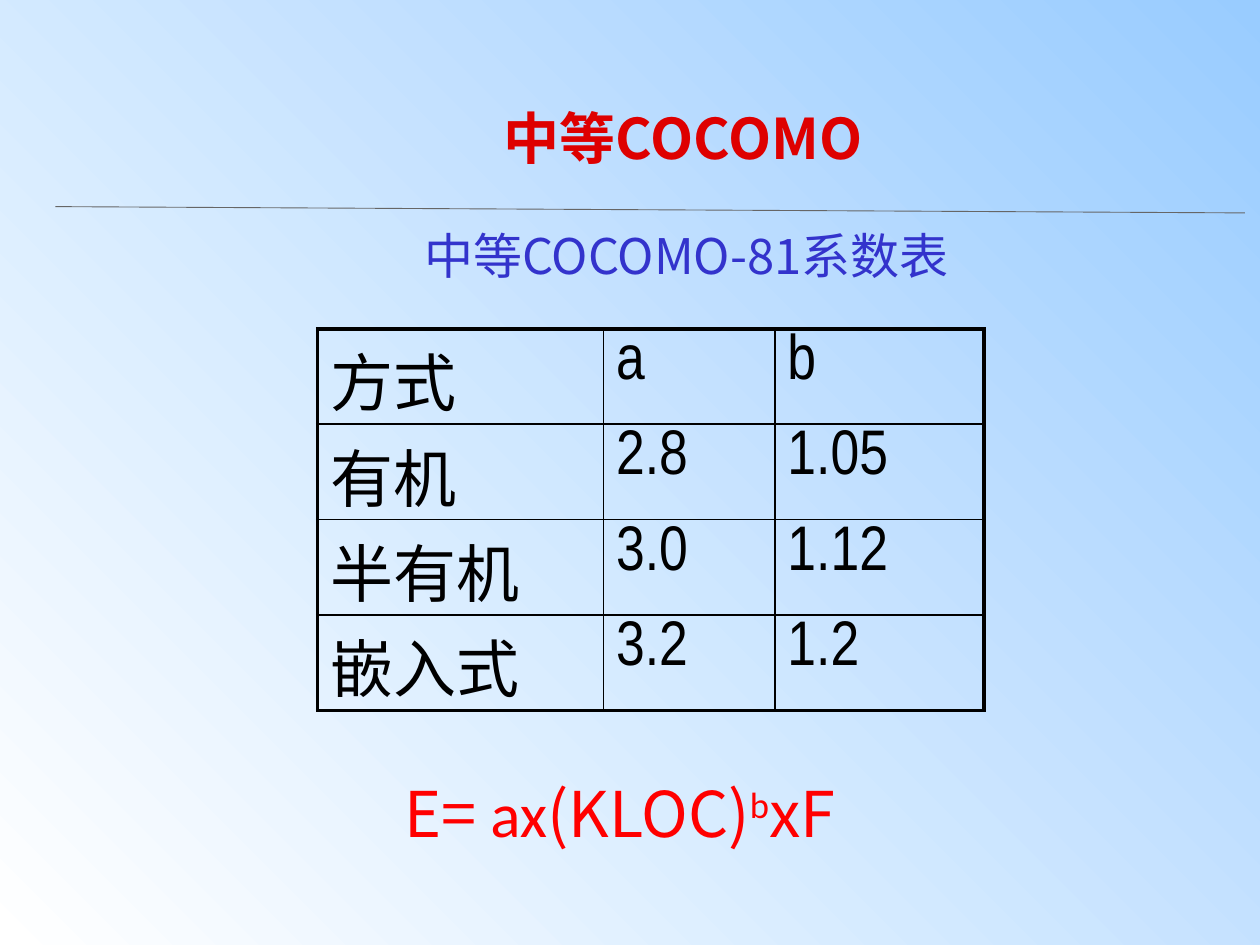
import dataclasses

import pptx
import pptx.dml.color
import pptx.enum.shapes
import pptx.enum.text
import pptx.oxml.ns
import pptx.util
from lxml import etree


@dataclasses.dataclass(frozen=True)
class Theme:
    sky: str = "99CCFF"
    white: str = "FFFFFF"
    rule: str = "666666"
    title: str = "DE0000"
    caption: str = "3333CC"
    formula: str = "FF0000"
    ink: str = "000000"
    sans: str = "Noto Sans CJK SC"
    narrow: str = "Arial Narrow"
    symbol: str = "Calibri"
    large: int = 36
    medium: int = 32
    small: int = 28
    outer_border: float = 2.25
    inner_border: float = 1
    hairline: float = 0.5


def color(value):
    return pptx.dml.color.RGBColor.from_string(value)


def add_element(parent, tag, **attributes):
    return etree.SubElement(parent, pptx.oxml.ns.qn(tag), **attributes)


class SlideBuilder:
    columns = 100
    rows = 75

    def __init__(self, presentation, theme):
        self.theme = theme
        self.cell_width = presentation.slide_width / self.columns
        self.cell_height = presentation.slide_height / self.rows
        self.slide = presentation.slides.add_slide(presentation.slide_layouts[6])

    def across(self, columns):
        return pptx.util.Emu(round(columns * self.cell_width))

    def down(self, rows):
        return pptx.util.Emu(round(rows * self.cell_height))

    def background(self, colors, angle):
        fill = self.slide.background.fill
        fill.gradient()
        fill.gradient_angle = angle
        for stop, value in zip(fill.gradient_stops, colors):
            stop.color.rgb = color(value)

    def style_run(self, run, font_name, size, value, bold=False):
        run.font.name = font_name
        run.font.size = pptx.util.Pt(size)
        run.font.bold = bold
        run.font.color.rgb = color(value)
        latin = run.font._element.find(pptx.oxml.ns.qn("a:latin"))
        east_asian = etree.Element(pptx.oxml.ns.qn("a:ea"), typeface=self.theme.sans)
        latin.addnext(east_asian)

    def line(self, start, end):
        connector = self.slide.shapes.add_connector(
            pptx.enum.shapes.MSO_CONNECTOR.STRAIGHT,
            self.across(start[0]), self.down(start[1]),
            self.across(end[0]), self.down(end[1]))
        connector.line.color.rgb = color(self.theme.rule)
        connector.line.width = pptx.util.Pt(self.theme.hairline)
        add_element(connector._element.spPr, "a:effectLst")

    def text(self, left, top, width, height, pieces, size, value, bold=False):
        box = self.slide.shapes.add_textbox(
            self.across(left), self.down(top), self.across(width), self.down(height))
        frame = box.text_frame
        frame.word_wrap = True
        frame.auto_size = pptx.enum.text.MSO_AUTO_SIZE.SHAPE_TO_FIT_TEXT
        frame.vertical_anchor = pptx.enum.text.MSO_ANCHOR.MIDDLE
        paragraph = frame.paragraphs[0]
        for wording, font_name in pieces:
            run = paragraph.add_run()
            run.text = wording
            self.style_run(run, font_name, size, value, bold)
        return paragraph

    def border(self, cell, side, width):
        line = add_element(cell._tc.get_or_add_tcPr(), f"a:ln{side}",
                           w=str(pptx.util.Pt(width)))
        fill = add_element(line, "a:solidFill")
        add_element(fill, "a:srgbClr", val=self.theme.ink)

    def table(self, left, top, widths, row_height, records):
        shape = self.slide.shapes.add_table(
            len(records), len(widths), self.across(left), self.down(top),
            self.across(sum(widths)), self.down(row_height * len(records)))
        table = shape.table
        table.first_row = False
        table.horz_banding = False
        for column, width in zip(table.columns, widths):
            column.width = self.across(width)
        last_row, last_column = len(records) - 1, len(widths) - 1
        for row, record in enumerate(records):
            table.rows[row].height = self.down(row_height)
            for column, wording in enumerate(record):
                cell = table.cell(row, column)
                cell.text_frame.text = wording
                cell.margin_top = self.down(0.4)
                cell.margin_bottom = 0
                self.style_run(cell.text_frame.paragraphs[0].runs[0],
                               self.theme.narrow, self.theme.large, self.theme.ink)
                edges = {"L": column == 0, "R": column == last_column,
                         "T": row == 0, "B": row == last_row}
                for side, outer in edges.items():
                    self.border(cell, side, self.theme.outer_border if outer
                                else self.theme.inner_border)
                cell.fill.background()


def main():
    theme = Theme()
    presentation = pptx.Presentation()
    presentation.slide_width = pptx.util.Inches(10)
    presentation.slide_height = pptx.util.Inches(7.5)
    builder = SlideBuilder(presentation, theme)

    builder.background([theme.sky, theme.white], 225)
    builder.line((4.4, 16.4), (98.8, 16.9))
    builder.text(32.7, 17.4, 47.2, 5.7, [("中等COCOMO-81系数表", theme.sans)],
                 theme.small, theme.caption)

    formula = builder.text(
        31.1, 58.5, 56.7, 9,
        [("E= ", theme.sans), ("ax", theme.symbol), ("(KLOC)", theme.sans),
         ("b", theme.symbol), ("xF", theme.sans)],
        theme.large, theme.formula)
    formula.line_spacing = 1.5
    formula.runs[3].font._element.set("baseline", "30000")

    builder.table(25.2, 26.1, [22.7, 13.6, 16.6], 7.57, [
        ["方式", "a", "b"],
        ["有机", "2.8", "1.05"],
        ["半有机", "3.0", "1.12"],
        ["嵌入式", "3.2", "1.2"],
    ])
    builder.text(39, 7.7, 46.5, 6.4, [("中等COCOMO", theme.sans)],
                 theme.medium, theme.title, bold=True)

    presentation.save("out.pptx")


if __name__ == "__main__":
    main()
